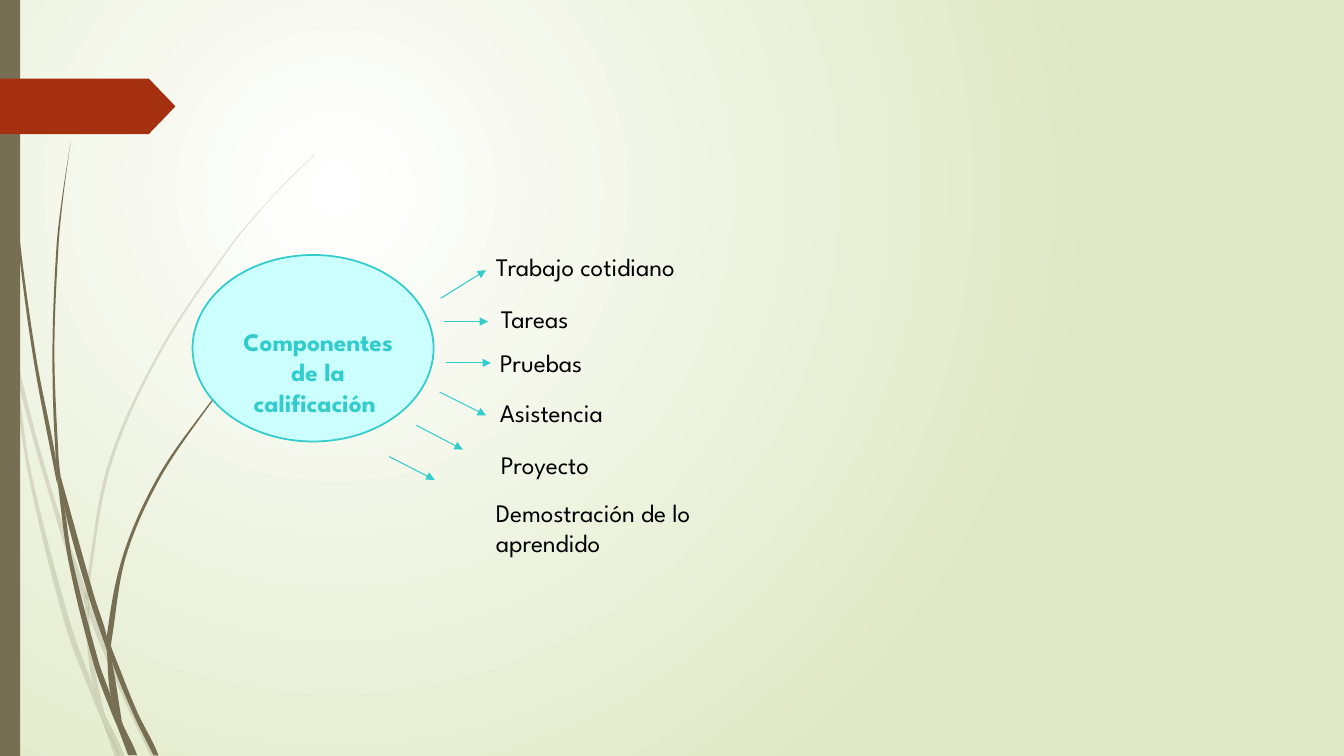
from math import dist

from lxml import etree
from pptx import Presentation
from pptx.dml.color import RGBColor
from pptx.enum.shapes import MSO_CONNECTOR, MSO_SHAPE
from pptx.enum.text import PP_ALIGN
from pptx.oxml.ns import qn
from pptx.util import Inches, Pt

STRAIGHT = MSO_CONNECTOR.STRAIGHT
ELLIPSE, RECTANGLE, PENTAGON = MSO_SHAPE.OVAL, MSO_SHAPE.RECTANGLE, MSO_SHAPE.PENTAGON
CENTER, LEFT = PP_ALIGN.CENTER, PP_ALIGN.LEFT

FONT = "League Spartan"
COLORS = {
    "light": "FFFFFF",
    "sage": "DFE8C4",
    "olive": "766F54",
    "rust": "A53010",
    "aqua": "CCFFFF",
    "teal": "33CCCC",
    "text": "000000",
}

# Each blade of grass is a pair of edges, both running downwards
PALE_BLADES = [
    ([(0, 2.82), (0.09, 3.22), (0.11, 3.5)], [(0, 2.99), (0.1, 3.44), (0.11, 3.5)]),
    ([(0.14, 3.45), (0.36, 4.33), (0.62, 5.2), (0.85, 5.86)],
     [(0.14, 3.45), (0.17, 3.76), (0.58, 5.22), (0.84, 5.99)]),
    ([(0.88, 5.96), (0.92, 6.07), (1.27, 6.92), (1.55, 7.51)],
     [(0.88, 5.96), (0.88, 6.1), (1.23, 6.94), (1.5, 7.51)]),
    ([(1.05, 7.11), (1.24, 7.51)], [(1.05, 7.11), (1.19, 7.51)]),
    ([(0.11, 3.5), (0.17, 3.76), (0.31, 4.69), (0.7, 6.19), (0.93, 6.83), (0.99, 7.07), (1.01, 7.14)],
     [(0.11, 3.5), (0.28, 4.7), (0.65, 6.21), (0.92, 6.93), (1.01, 7.14)]),
    ([(0.84, 5.99), (0.88, 6.08), (0.91, 6.46), (1.03, 7.06), (1.05, 7.11)],
     [(0.84, 5.99), (0.87, 6.46), (0.93, 6.83), (1.05, 7.11)]),
    ([(3.12, 1.54), (2.9, 1.75), (2.68, 1.98), (2.29, 2.45), (1.6, 3.49), (1.1, 4.62), (0.88, 5.84),
      (0.88, 5.96)],
     [(3.12, 1.53), (2.89, 1.75), (2.68, 1.97), (2.28, 2.44), (1.58, 3.48), (1.07, 4.61), (0.85, 5.84),
      (0.85, 5.86)]),
    ([(1.01, 7.14), (1.19, 7.51)], [(1.01, 7.14), (1.14, 7.51)]),
    ([(0.85, 5.86), (0.88, 5.96), (0.88, 6.1)], [(0.85, 5.86), (0.84, 5.99), (0.88, 6.08)]),
    ([(0.93, 6.83), (0.96, 6.92), (1.05, 7.11), (1.19, 7.51)],
     [(0.93, 6.83), (0.99, 7.07), (1.01, 7.14), (1.19, 7.51)]),
]
DARK_BLADES = [
    ([(0.04, 0), (0.05, 0.48), (0.08, 1.09), (0.19, 2.32), (0.36, 3.55), (0.55, 4.53), (0.57, 4.81)],
     [(0.03, 0), (0.04, 0.48), (0.07, 1.1), (0.17, 2.33), (0.33, 3.55), (0.56, 4.77), (0.57, 4.81)]),
    ([(0.6, 4.72), (0.93, 5.9), (1.06, 6.31), (1.06, 6.45)],
     [(0.6, 4.72), (0.64, 5.05), (0.88, 5.92), (1.06, 6.45)]),
    ([(1.1, 6.41), (1.13, 6.49), (1.36, 7.06), (1.57, 7.49)],
     [(1.1, 6.41), (1.11, 6.56), (1.32, 7.08), (1.52, 7.49)]),
    ([(0.57, 4.77), (0.64, 5.05), (0.72, 5.56), (0.98, 6.57), (1.1, 6.91), (1.16, 7.17), (1.17, 7.22)],
     [(0.57, 4.77), (0.68, 5.57), (0.93, 6.59), (1.11, 7.08), (1.17, 7.22)]),
    ([(0.7, 1.41), (0.63, 1.93), (0.58, 2.45), (0.54, 3.49), (0.58, 4.53), (0.6, 4.72)],
     [(0.7, 1.41), (0.62, 1.93), (0.56, 2.45), (0.52, 3.49), (0.55, 4.49), (0.6, 4.72)]),
    ([(1.22, 7.19), (1.36, 7.49)], [(1.22, 7.19), (1.33, 7.49)]),
    ([(0.55, 4.49), (0.6, 4.72), (0.64, 5.05)], [(0.55, 4.49), (0.57, 4.77), (0.64, 5.05)]),
    ([(2.61, 3.44), (2.31, 3.74), (2.05, 4.06), (1.58, 4.76), (1.25, 5.52), (1.11, 6.33), (1.1, 6.41)],
     [(2.6, 3.44), (2.31, 3.73), (2.04, 4.05), (1.56, 4.74), (1.22, 5.51), (1.06, 6.31), (1.1, 6.41)]),
    ([(1.17, 7.22), (1.31, 7.49)], [(1.17, 7.22), (1.27, 7.49)]),
    ([(1.06, 6.45), (1.11, 6.56), (1.21, 7.16), (1.22, 7.19)],
     [(1.06, 6.45), (1.1, 6.91), (1.22, 7.19)]),
    ([(1.06, 6.31), (1.1, 6.41), (1.11, 6.56)], [(1.06, 6.31), (1.06, 6.45), (1.11, 6.56)]),
    ([(1.1, 6.91), (1.16, 7.06), (1.22, 7.19), (1.33, 7.49)],
     [(1.1, 6.91), (1.17, 7.22), (1.3, 7.49)]),
]

# Label, its box (left, top, width, height), arrow start and arrow end
COMPONENTS = [
    ("Trabajo cotidiano", (4.82, 2.44, 5.22, 0.4), (4.37, 2.96), (4.82, 2.68)),
    ("Tareas", (4.87, 2.96, 5.22, 0.4), (4.4, 3.19), (4.84, 3.19)),
    ("Pruebas", (4.86, 3.4, 5.22, 0.4), (4.42, 3.6), (4.87, 3.6)),
    ("Asistencia", (4.86, 3.89, 5.22, 0.4), (4.36, 3.89), (4.82, 4.12)),
    ("Proyecto", (4.87, 4.41, 1.55, 0.4), (4.13, 4.22), (4.59, 4.46)),
    ("Demostración de lo aprendido", (4.82, 4.88, 3.17, 0.71), (3.86, 4.53), (4.31, 4.76)),
]


def rgb(name):
    return RGBColor.from_string(COLORS[name])


def paint_background(slide):
    """Circular gradient whose centre lies a quarter in from the top left."""
    fill = slide.background.fill
    fill.gradient()
    for stop, name in zip(fill.gradient_stops, ("light", "sage")):
        stop.color.rgb = rgb(name)
    gradient = slide.element.find(".//" + qn("a:gradFill"))
    gradient.remove(gradient.find(qn("a:lin")))
    circle = etree.SubElement(gradient, qn("a:path"), path="circle")
    etree.SubElement(circle, qn("a:fillToRect"), l="50000", t="50000", r="100000", b="100000")


def bezier_points(knots):
    """Two control points and an end point for each stretch of a smooth curve."""
    def handle(knot, before, after, length):
        reach = length / (3 * dist(before, after))
        return tuple(k + (a - b) * reach for k, b, a in zip(knot, before, after))

    padded = [knots[0], *knots, knots[-1]]
    points = []
    for before, start, end, after in zip(padded, padded[1:], padded[2:], padded[3:]):
        length = dist(start, end)
        points += [handle(start, before, end, length), handle(end, after, start, length), end]
    return points


def add_blade(slide, right_edge, left_edge, opacity):
    back = left_edge[::-1]
    if back[0] != right_edge[-1]:
        right_edge = right_edge + back[:1]
    points = bezier_points(right_edge) + bezier_points(back)
    builder = slide.shapes.build_freeform(*map(Inches, back[-1]))
    if back[-1] != right_edge[0]:
        points = [back[-1], right_edge[0], right_edge[0]] + points
    builder.add_line_segments([tuple(map(Inches, point)) for point in points], close=True)
    blade = builder.convert_to_shape()
    style_shape(blade, "olive")
    lines = list(blade.element.iter(qn("a:lnTo")))
    for first, second, third in zip(lines[::3], lines[1::3], lines[2::3]):
        first.tag = qn("a:cubicBezTo")
        for line in (second, third):
            first.append(line[0])
            line.getparent().remove(line)
    if opacity < 100:
        color = blade.element.spPr.find(qn("a:solidFill"))[0]
        etree.SubElement(color, qn("a:alpha"), val=str(opacity * 1000))


def style_shape(shape, fill, line=None):
    shape.shadow.inherit = False
    shape.fill.solid()
    shape.fill.fore_color.rgb = rgb(fill)
    if line:
        shape.line.color.rgb = rgb(line)
        shape.line.width = Pt(1.25)
    else:
        shape.line.fill.background()


def add_preset(slide, preset, box, fill, line=None):
    shape = slide.shapes.add_shape(preset, *map(Inches, box))
    style_shape(shape, fill, line)
    return shape


def add_label(slide, text, box, color="text", bold=False, align=LEFT):
    frame = slide.shapes.add_textbox(*map(Inches, box)).text_frame
    frame.word_wrap = True
    paragraph = frame.paragraphs[0]
    paragraph.text = text
    paragraph.alignment = align
    font = paragraph.font
    font.name, font.size, font.bold = FONT, Pt(18), bold
    font.color.rgb = rgb(color)


def add_arrow(slide, start, end):
    arrow = slide.shapes.add_connector(STRAIGHT, *map(Inches, start + end))
    arrow.line.color.rgb = rgb("teal")
    arrow.line.width = Pt(0.75)
    outline = arrow._element.spPr.find(qn("a:ln"))
    etree.SubElement(outline, qn("a:tailEnd"), type="triangle")
    etree.SubElement(arrow._element.spPr, qn("a:effectLst"))


def add_decoration(slide):
    for blades, opacity in ((PALE_BLADES, 20), (DARK_BLADES, 100)):
        for right_edge, left_edge in blades:
            add_blade(slide, right_edge, left_edge, opacity)
    add_preset(slide, RECTANGLE, (0, 0, 0.2, 7.5), "olive")
    ribbon = add_preset(slide, PENTAGON, (0, 0.78, 1.74, 0.55), "rust")
    ribbon.adjustments[0] = 0.48


def add_topic(slide, left, top, width, height):
    add_preset(slide, ELLIPSE, (left, top, width, height), "aqua", "teal")
    add_label(slide, "Componentes de la calificación ", (left + 0.27, top + 0.66, 1.95, 1.01),
              "teal", True, CENTER)


def add_components(slide):
    for label, box, start, end in COMPONENTS:
        add_arrow(slide, start, end)
        add_label(slide, label, box)


def main():
    deck = Presentation()
    deck.slide_width, deck.slide_height = Inches(13.33), Inches(7.5)
    slide = deck.slides.add_slide(deck.slide_layouts[6])
    paint_background(slide)
    add_decoration(slide)
    add_topic(slide, 1.91, 2.53, 2.39, 1.85)
    add_components(slide)
    deck.save("out.pptx")


if __name__ == "__main__":
    main()
